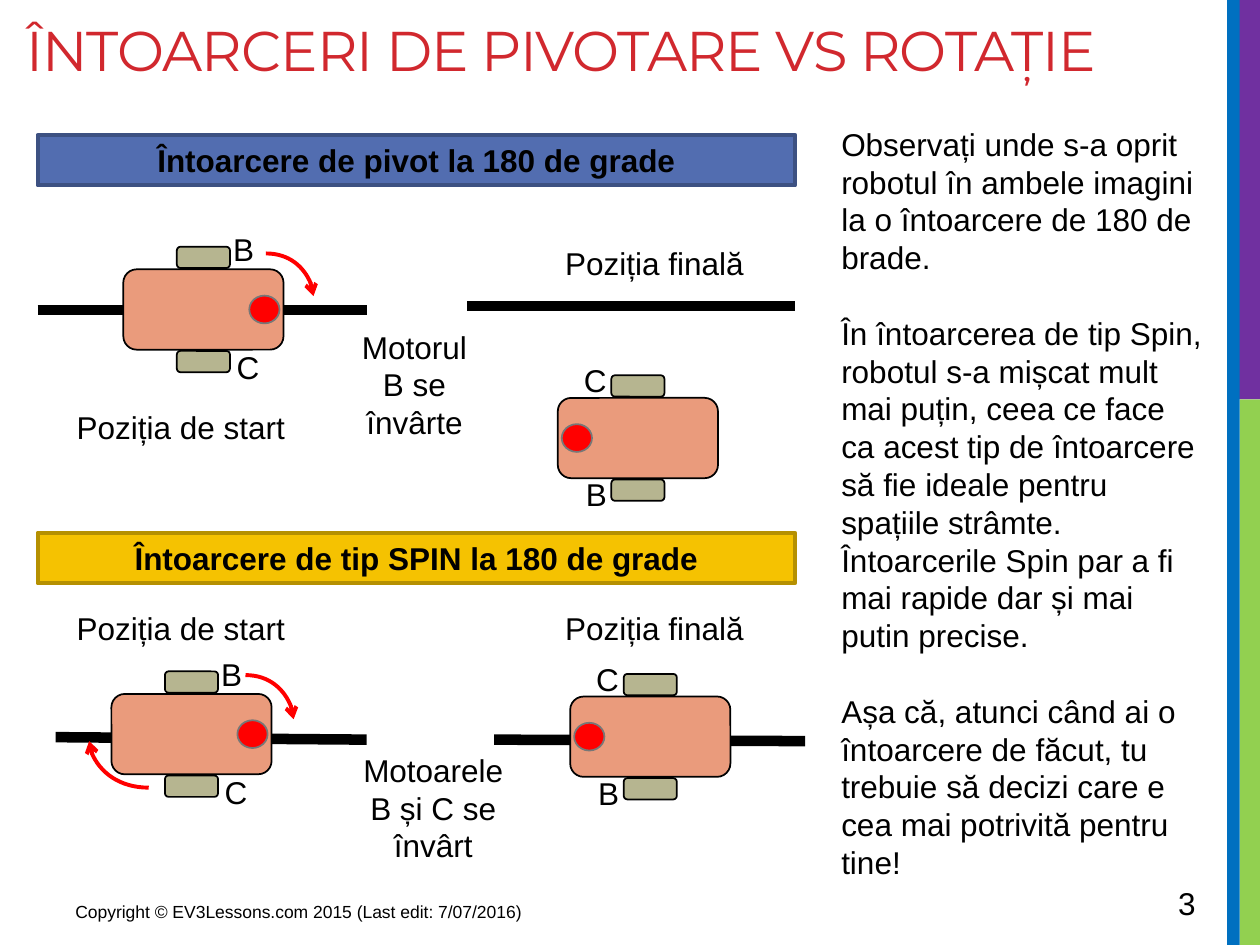
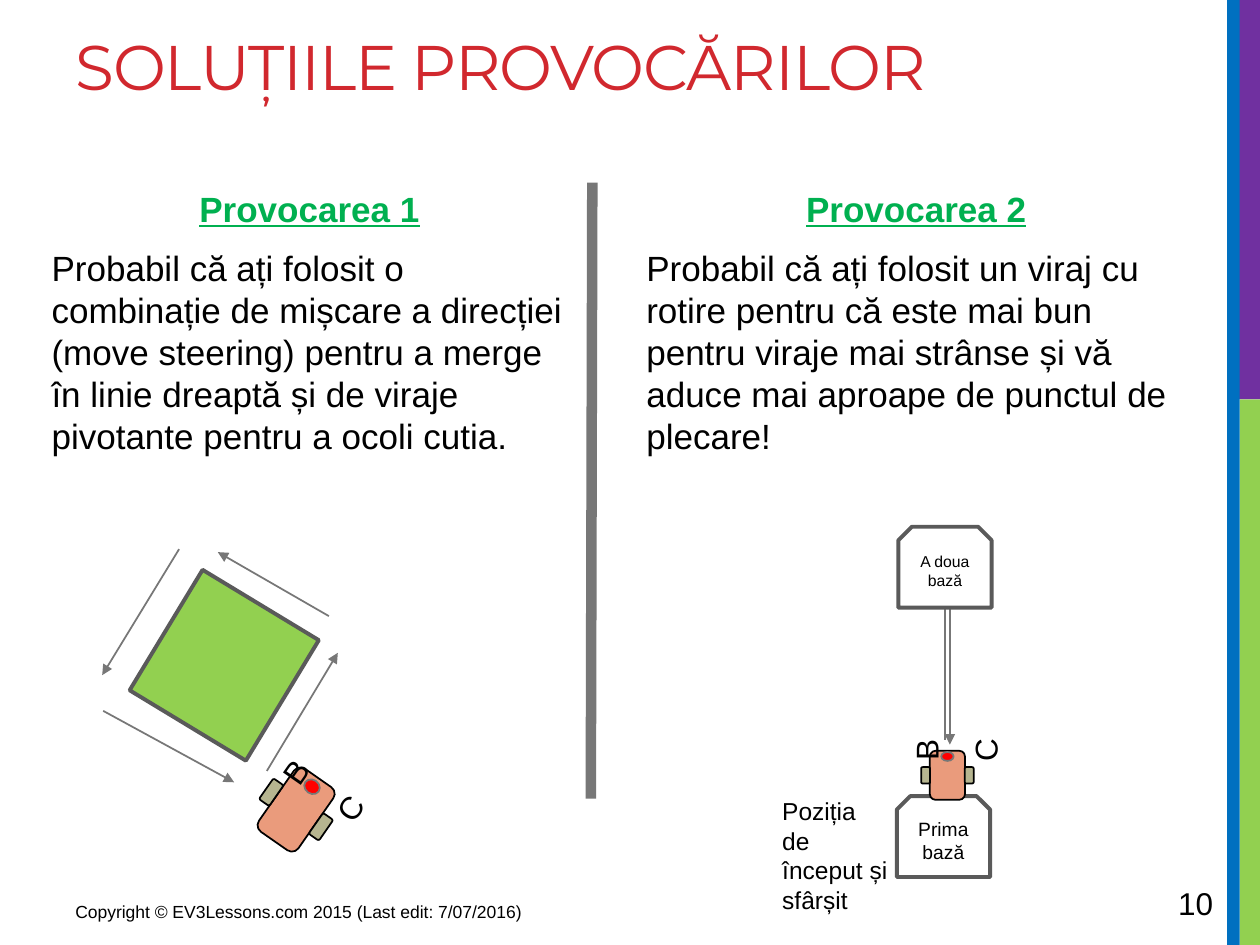
"""Build two slides on robot turns: pivot versus spin, and the challenge solutions."""
import math
from dataclasses import dataclass

import pptx
import pptx.dml.color
import pptx.enum.shapes
import pptx.enum.text
import pptx.oxml
import pptx.oxml.ns
import pptx.util
from pptx.util import Cm

SHAPE = pptx.enum.shapes.MSO_SHAPE
CONNECTOR = pptx.enum.shapes.MSO_CONNECTOR
ANCHOR = pptx.enum.text.MSO_ANCHOR
ALIGN = pptx.enum.text.PP_ALIGN
FIT = pptx.enum.text.MSO_AUTO_SIZE


@dataclass(frozen=True)
class Theme:
    heading_font: str = "Montserrat"
    body_font: str = "Arial"
    ink: str = "000000"
    paper: str = "FFFFFF"
    title: str = "D1282E"
    heading: str = "00B050"
    green: str = "92D050"
    purple: str = "7030A0"
    blue: str = "0070C0"
    pivot: str = "526DB0"
    pivot_edge: str = "3D5182"
    spin: str = "F5C201"
    spin_edge: str = "B59001"
    chassis: str = "EA9B7C"
    wheel: str = "B6B590"
    signal: str = "FF0000"
    gray: str = "777777"
    dark_gray: str = "5A5A5A"
    text_size: float = 18
    challenge_size: float = 20
    note_size: float = 14
    footer_size: float = 10
    track: float = 6
    edge: float = 2.25
    thin: float = 1


@dataclass(frozen=True)
class RobotModel:
    chassis: tuple
    wheel: tuple
    wheel_reach: float
    sensor: tuple
    sensor_reach: float
    letter: tuple


THEME = Theme()

BANDS = [
    ((24.99, 8.05, 0.41, 11), THEME.green),
    ((24.89, 0, 0.51, 8.05), THEME.purple),
    ((24.74, 0, 0.25, 19.05), THEME.blue),
]
COPYRIGHT = "Copyright © EV3Lessons.com 2015 (Last edit: 7/07/2016)"

LARGE = RobotModel((1.62, 3.23), (0.43, 1.07), 1.05, (0.56, 0.61), 1.23, (1.3, 0.81))
MEDIUM = RobotModel((0.97, 1.55), (0.25, 0.51), 0.61, (0.33, 0.28), 0.56, (0.64, 0.48))
SMALL = RobotModel((0.71, 0.99), (0.18, 0.33), 0.44, (0.25, 0.18), 0.38, (0.41, 0.36))

FACING_RIGHT = (90, 0, {"B": (1, -1.32), "C": (1.07, 1.06)})
FACING_LEFT = (270, 0, {"B": (-0.65, 1.03), "C": (-0.69, -1.27)})
TILTED = (34.9, 304.9, {"B": (-0.32, -0.79), "C": (0.77, -0.05)})
FACING_UP = (0, 270, {"B": (-0.76, -0.34), "C": (0.43, -0.32)})

TURNS = {
    "title": ("ÎNTOARCERI DE PIVOTARE VS ROTAȚIE", (0.28, 0.18, 24.97, 3.81), 32),
    "number": "3",
    "banners": [
        ("Întoarcere de pivot la 180 de grade", 2.72, THEME.pivot, THEME.pivot_edge),
        ("Întoarcere de tip SPIN la 180 de grade", 10.74, THEME.spin, THEME.spin_edge),
    ],
    "explanation": [
        "Observați unde s-a oprit robotul în ambele imagini la o întoarcere de 180 de brade.",
        "În întoarcerea de tip Spin, robotul s-a mișcat mult mai puțin, ceea ce face ca acest tip "
        "de întoarcere să fie ideale pentru spațiile strâmte. Întoarcerile Spin par a fi mai "
        "rapide dar și mai putin precise.",
        "Așa că, atunci când ai o întoarcere de făcut, tu trebuie să decizi care e cea mai "
        "potrivită pentru tine!",
    ],
    "captions": [
        (["Poziția de start"], (1.27, 8.1, 4.75, 1.02)),
        (["Poziția finală"], (10.82, 4.8, 4.75, 1.02)),
        (["Poziția de start"], (1.27, 12.15, 4.75, 1.02)),
        (["Poziția finală"], (10.82, 12.15, 4.75, 1.02)),
        (["Motorul", "B se învârte"], (6.5, 6.48, 3.71, 2.57)),
        (["Motoarele B și C se învârt"], (6.88, 15.01, 3.71, 2.57)),
    ],
    "tracks": [
        (0.76, 6.25, 7.39, 6.25),
        (9.42, 6.17, 16.03, 6.17),
        (1.12, 14.86, 7.39, 14.91),
        (9.96, 14.91, 16.23, 14.94),
    ],
    "robots": [
        ((4.1, 6.24), FACING_RIGHT),
        ((12.86, 8.83), FACING_LEFT),
        ((3.86, 14.8), FACING_RIGHT),
        ((13.11, 14.85), FACING_LEFT),
    ],
    "wheel_turns": [
        (5.36, 5.11, 6.32, 5.97),
        (4.95, 13.61, 5.92, 14.5),
        (3, 15.88, 1.8, 14.94),
    ],
}

SOLUTIONS = {
    "title": ("SOLUȚIILE PROVOCĂRILOR", (1.27, 0.43, 22.91, 3.81), 36),
    "number": "10",
    "challenges": [
        ("Provocarea 1",
         "Probabil că ați folosit o combinație de mișcare a direcției (move steering) pentru a "
         "merge în linie dreaptă și de viraje pivotante pentru a ocoli cutia.",
         (0.79, 3.65, 10.9, 12.14)),
        ("Provocarea 2",
         "Probabil că ați folosit un viraj cu rotire pentru că este mai bun pentru viraje mai "
         "strânse și vă aduce mai aproape de punctul de plecare!",
         (12.78, 3.65, 11.38, 12.14)),
    ],
    "divider": (11.91, 16.1, 11.94, 3.68),
    "box": (3.1, 12.04, 2.84, 2.74),
    "box_angle": 301.2,
    "route": [
        (3.61, 11.07, 2.06, 13.61),
        (6.63, 12.42, 4.39, 11.13),
        (5.38, 15.54, 6.81, 13.16),
        (2.08, 14.33, 4.72, 15.77),
        (19.05, 14.91, 19.05, 11.96),
        (19.15, 12.24, 19.15, 15.01),
    ],
    "bases": [
        ("Prima bază", (18.08, 16.05, 1.88, 1.63), 11),
        ("A doua bază", (18.11, 10.62, 1.88, 1.63), 9),
    ],
    "start_note": ("Poziția de început și sfârșit", (15.52, 15.93, 2.64, 2.64)),
    "robots": [(MEDIUM, (5.97, 16.32), TILTED), (SMALL, (19.1, 15.63), FACING_UP)],
}


def rgb(color):
    return pptx.dml.color.RGBColor.from_string(color)


def write(frame, paragraphs, size=THEME.text_size, color=THEME.ink, font=THEME.body_font,
          align=ALIGN.LEFT, bold=False, gap=0):
    frame.word_wrap = True
    frame.text = "\n".join(paragraphs)
    for index, paragraph in enumerate(frame.paragraphs):
        paragraph.alignment = align
        if index and gap:
            paragraph.space_before = pptx.util.Pt(gap)
        for run in paragraph.runs:
            run.font.name = font
            run.font.size = pptx.util.Pt(size)
            run.font.bold = bold
            run.font.color.rgb = rgb(color)


def add_text(slide, paragraphs, place, angle=0, grow=True, **style):
    words = slide.shapes.add_textbox(*map(Cm, place))
    words.rotation = angle
    write(words.text_frame, paragraphs, **style)
    if grow:
        words.text_frame.auto_size = FIT.SHAPE_TO_FIT_TEXT
    return words.text_frame


def add_part(slide, kind, place, fill, edge=None, width=THEME.thin, angle=0):
    part = slide.shapes.add_shape(kind, *map(Cm, place))
    part.shadow.inherit = False
    part.rotation = angle
    part.fill.solid()
    part.fill.fore_color.rgb = rgb(fill)
    if edge:
        part.line.color.rgb = rgb(edge)
        part.line.width = pptx.util.Pt(width)
    else:
        part.line.fill.background()
    return part


def add_line(slide, ends, color, width, head=None, curved=False):
    kind = CONNECTOR.CURVE if curved else CONNECTOR.STRAIGHT
    line = slide.shapes.add_connector(kind, *map(Cm, ends))
    line.line.color.rgb = rgb(color)
    line.line.width = pptx.util.Pt(width)
    properties = line._element.spPr
    if curved:
        properties.find(pptx.oxml.ns.qn("a:prstGeom")).set("prst", "curvedConnector2")
    if head:
        tip = pptx.oxml.parse_xml(f'<a:tailEnd {pptx.oxml.ns.nsdecls("a")} type="{head}"/>')
        line.line._get_or_add_ln().append(tip)
    properties.append(pptx.oxml.parse_xml(f'<a:effectLst {pptx.oxml.ns.nsdecls("a")}/>'))


def add_robot(slide, model, center, pose):
    angle, letter_angle, letters = pose
    turn = math.radians(angle)

    def centered(size, right=0, forward=0):
        x = center[0] + right * math.cos(turn) + forward * math.sin(turn)
        y = center[1] + right * math.sin(turn) - forward * math.cos(turn)
        return x - size[0] / 2, y - size[1] / 2, *size

    parts = [
        (SHAPE.ROUNDED_RECTANGLE, centered(model.chassis), THEME.chassis, THEME.ink),
        (SHAPE.ROUNDED_RECTANGLE, centered(model.wheel, model.wheel_reach), THEME.wheel, THEME.ink),
        (SHAPE.ROUNDED_RECTANGLE, centered(model.wheel, -model.wheel_reach), THEME.wheel, THEME.ink),
        (SHAPE.OVAL, centered(model.sensor, 0, model.sensor_reach), THEME.signal, THEME.gray),
    ]
    for kind, place, fill, edge in parts:
        add_part(slide, kind, place, fill, edge, angle=angle)
    width, height = model.letter
    for letter, (dx, dy) in letters.items():
        corner = (center[0] + dx - width / 2, center[1] + dy - height / 2)
        add_text(slide, [letter], (*corner, width, height), angle=letter_angle)


def start_slide(deck, content):
    slide = deck.slides.add_slide(deck.slide_layouts[6])
    for place, color in BANDS:
        add_part(slide, SHAPE.RECTANGLE, place, color)
    title, place, size = content["title"]
    heading = add_text(slide, [title], place, grow=False, size=size, color=THEME.title,
                       font=THEME.heading_font)
    heading.paragraphs[0].runs[0].font._element.set("spc", "-60")
    add_text(slide, [COPYRIGHT], (1.27, 18.03, 10.5, 0.79), grow=False, size=THEME.footer_size)
    add_text(slide, [content["number"]], (23.5, 17.7, 1.75, 1.02), grow=False)
    return slide


def build_turns(deck):
    slide = start_slide(deck, TURNS)
    for track in TURNS["tracks"]:
        add_line(slide, track, THEME.ink, THEME.track)
    for words, top, fill, edge in TURNS["banners"]:
        banner = add_part(slide, SHAPE.RECTANGLE, (0.76, top, 15.27, 1.02), fill, edge, THEME.edge)
        write(banner.text_frame, [words], align=ALIGN.CENTER, bold=True)
    add_text(slide, TURNS["explanation"], (16.71, 2.39, 7.8, 15.65), gap=21.6)
    for words, place in TURNS["captions"]:
        add_text(slide, words, place, align=ALIGN.CENTER)
    for center, pose in TURNS["robots"]:
        add_robot(slide, LARGE, center, pose)
    for ends in TURNS["wheel_turns"]:
        add_line(slide, ends, THEME.signal, THEME.edge, "arrow", curved=True)


def build_solutions(deck):
    slide = start_slide(deck, SOLUTIONS)
    for name, answer, place in SOLUTIONS["challenges"]:
        frame = add_text(slide, [name, answer], place, grow=False, size=THEME.challenge_size, gap=4)
        heading = frame.paragraphs[0]
        heading.alignment = ALIGN.CENTER
        heading.space_after = pptx.util.Pt(6)
        heading.runs[0].font.bold = True
        heading.runs[0].font.underline = True
        heading.runs[0].font.color.rgb = rgb(THEME.heading)
    add_line(slide, SOLUTIONS["divider"], THEME.gray, THEME.track)
    add_part(slide, SHAPE.RECTANGLE, SOLUTIONS["box"], THEME.green, THEME.dark_gray, THEME.edge,
             SOLUTIONS["box_angle"])
    for ends in SOLUTIONS["route"]:
        add_line(slide, ends, THEME.gray, THEME.thin, "triangle")
    for name, place, size in SOLUTIONS["bases"]:
        base = add_part(slide, SHAPE.SNIP_2_SAME_RECTANGLE, place, THEME.paper, THEME.dark_gray,
                        THEME.edge)
        base.text_frame.vertical_anchor = ANCHOR.MIDDLE
        write(base.text_frame, [name], size=size, align=ALIGN.CENTER)
    note, place = SOLUTIONS["start_note"]
    add_text(slide, [note], place, size=THEME.note_size)
    for model, center, pose in SOLUTIONS["robots"]:
        add_robot(slide, model, center, pose)


def main():
    deck = pptx.Presentation()
    deck.slide_width, deck.slide_height = Cm(25.4), Cm(19.05)
    build_turns(deck)
    build_solutions(deck)
    deck.save("out.pptx")


if __name__ == "__main__":
    main()
